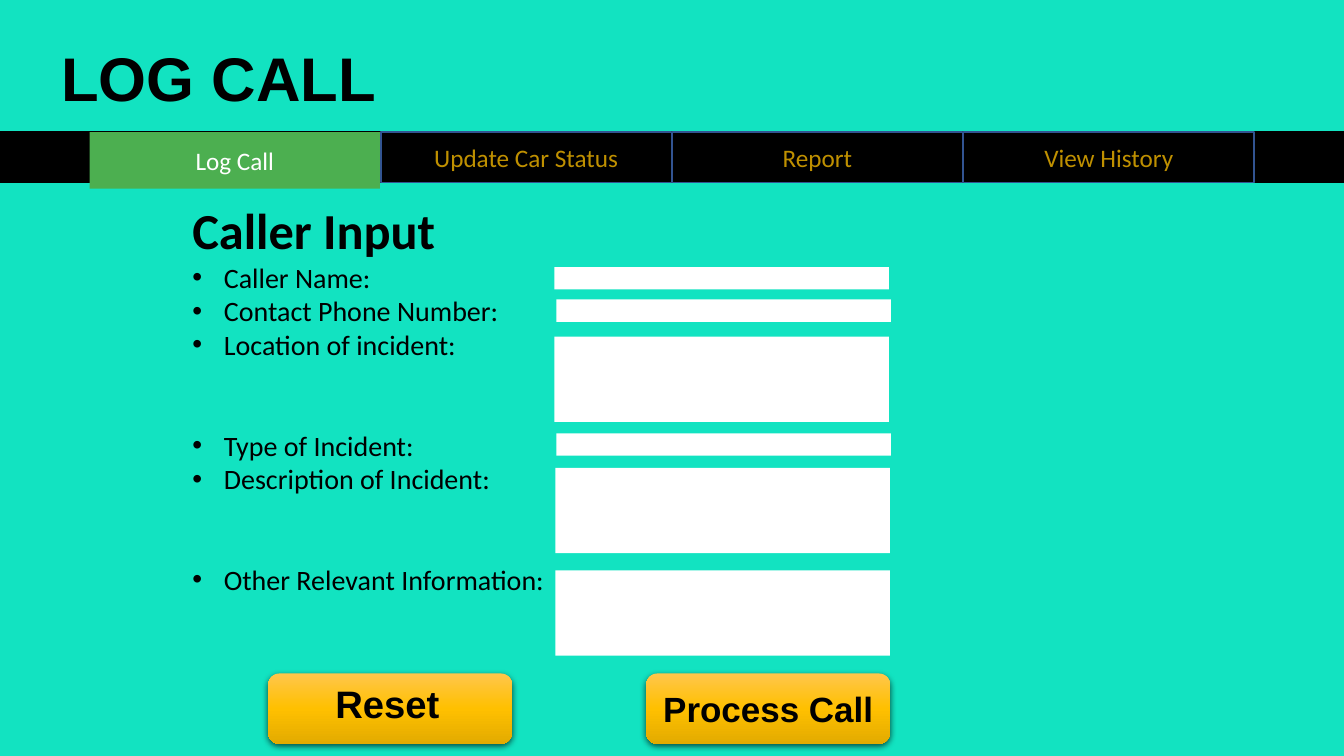
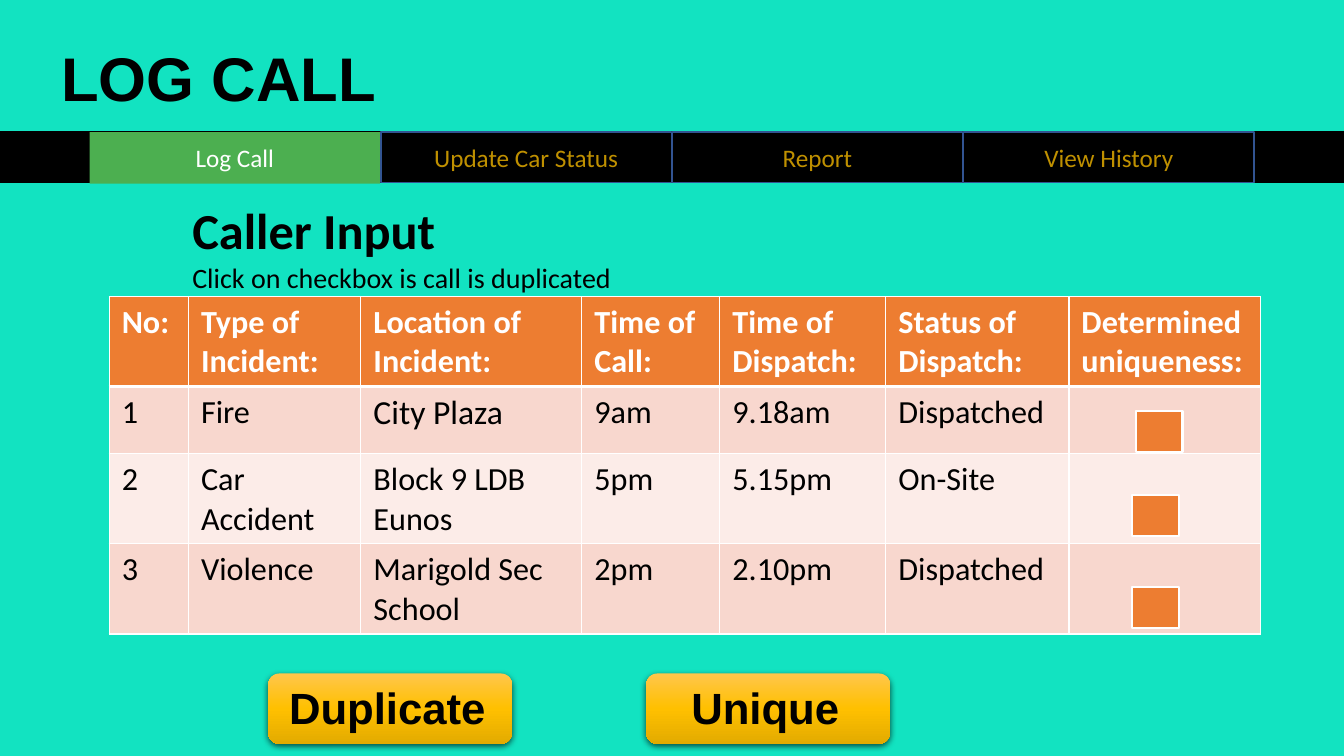
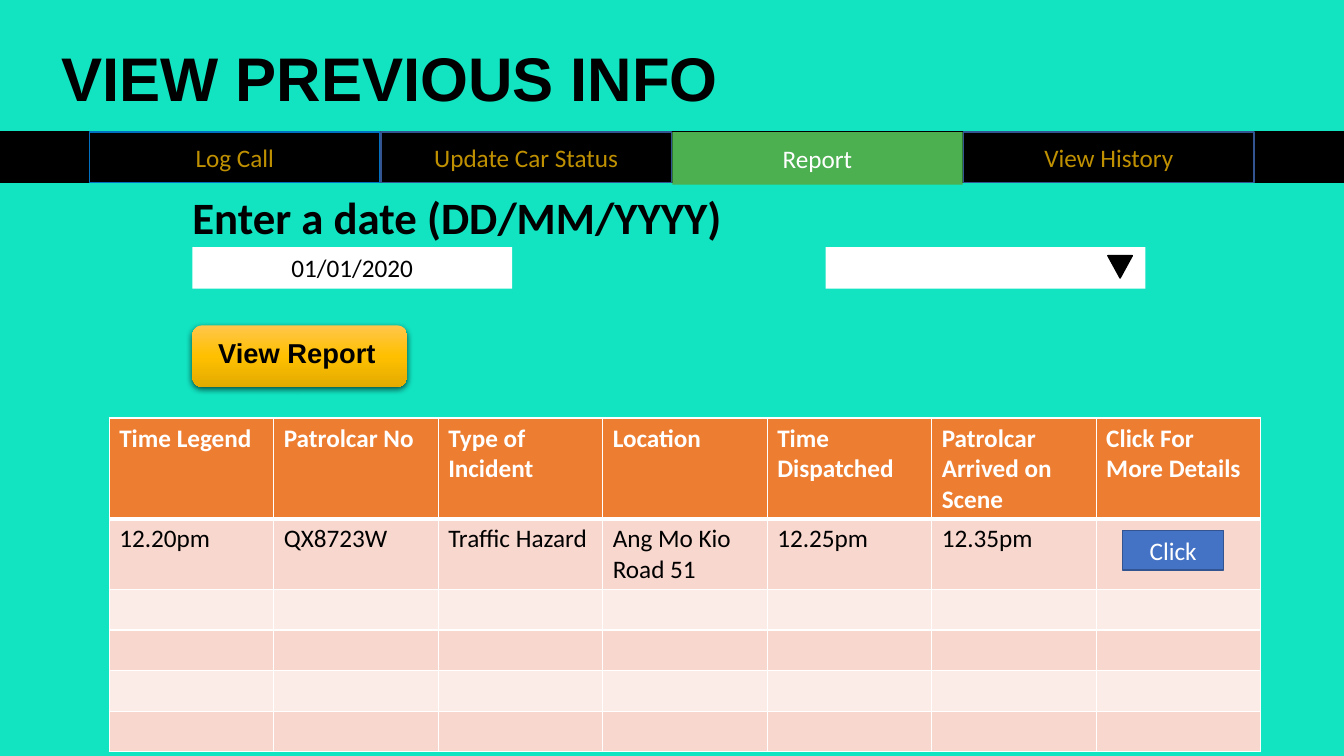
from lxml import etree
from pptx import Presentation
from pptx.dml.color import RGBColor
from pptx.enum import shapes, text
from pptx.oxml import parse_xml
from pptx.util import Pt

TEAL = RGBColor(0x12, 0xE3, 0xC1)
BLACK = RGBColor(0, 0, 0)
WHITE = RGBColor(0xFF, 0xFF, 0xFF)
GREEN = RGBColor(0x4C, 0xAF, 0x50)
GOLD = RGBColor(0xBF, 0x90, 0x00)
NAVY = RGBColor(0x32, 0x54, 0x91)
AZURE = RGBColor(0x00, 0x70, 0xC0)
BLUE = RGBColor(0x44, 0x72, 0xC4)
ORANGE = RGBColor(0xED, 0x7D, 0x31)
ROSE = RGBColor(0xF8, 0xD7, 0xCE)
BLUSH = RGBColor(0xFC, 0xEC, 0xE8)

A = "http://schemas.openxmlformats.org/drawingml/2006/main"
GLOSS = [(0, "FFC64B"), (50, "FFC000"), (100, "E3AB00")]
RECT = shapes.MSO_SHAPE.RECTANGLE
CENTER = text.PP_ALIGN.CENTER
MIDDLE, BOTTOM = text.MSO_ANCHOR.MIDDLE, text.MSO_ANCHOR.BOTTOM

TABS = ["Log Call", "Update Car Status", "Report", "View History"]
TAB_LEFT, TAB_TOP, TAB_STEP, TAB_WIDTH, BAND_HEIGHT = 64, 94.4, 208.1, 207.4, 36
HEADING = dict(size=Pt(36), bold=True)
BODY = dict(size=Pt(20))

QUESTIONS = [("Caller Name:", 0), ("Contact Phone Number:", 0),
             ("Location of incident:", 0), ("Type of Incident:", 48),
             ("Description of Incident:", 0), ("Other Relevant Information:", 48)]
FIELDS = [(396, 190.8, 16), (397.4, 213.9, 16), (396, 240.4, 61),
          (397.4, 309.6, 16), (396.7, 334.2, 61), (396.7, 407.4, 61)]

CALLS = [
    ["No:", "Type of Incident:", "Location of Incident:", "Time of\nCall:",
     "Time of\nDispatch:", "Status of Dispatch:", "Determined uniqueness:"],
    ["1", "Fire", "City Plaza", "9am", "9.18am", "Dispatched", ""],
    ["2", "Car Accident", "Block 9 LDB Eunos", "5pm", "5.15pm", "On-Site", ""],
    ["3", "Violence", "Marigold Sec School", "2pm", "2.10pm", "Dispatched", ""],
]
CALL_WIDTHS = [56.6, 123.2, 157.8, 98.6, 118.6, 130.8, 137]
CHECKBOXES = [(811.4, 293.6), (808.6, 353.6), (808.6, 419)]

REPORTS = [
    ["Time Legend", "Patrolcar No", "Type of Incident", "Location",
     "Time Dispatched", "Patrolcar Arrived on Scene", "Click For More Details"],
    ["12.20pm", "QX8723W", "Traffic Hazard", "Ang Mo Kio Road 51",
     "12.25pm", "12.35pm", ""],
] + [[""] * 7] * 4


def apply(target, values):
    for name, value in values.items():
        setattr(target, name, value)


def write(frame, paragraphs, frame_format=None, **common):
    apply(frame, dict(word_wrap=True, **(frame_format or {})))
    for i, (words, font, layout) in enumerate(paragraphs):
        para = frame.paragraphs[0] if i == 0 else frame.add_paragraph()
        apply(para, {**common, **layout})
        run = para.add_run()
        run.text = words
        values = dict(name="Calibri", bold=False, **{"color": BLACK}) | font
        run.font.color.rgb = values.pop("color")
        apply(run.font, values)


def add_box(slide, place, fill=None, edge=None, edge_width=1, kind=RECT):
    box = slide.shapes.add_shape(kind, *map(Pt, place))
    box.shadow.inherit = False
    if fill is None:
        box.fill.background()
    else:
        box.fill.solid()
        box.fill.fore_color.rgb = fill
    if edge is None:
        box.line.fill.background()
    else:
        box.line.color.rgb = edge
        box.line.width = Pt(edge_width)
    return box


def add_caption(slide, place, paragraphs, frame_format=None, **common):
    caption = slide.shapes.add_textbox(*map(Pt, place))
    write(caption.text_frame, paragraphs, frame_format, **common)
    return caption


def label(box, words, size=18, **font):
    write(box.text_frame, [(words, dict(size=Pt(size), **font), {})],
          dict(vertical_anchor=MIDDLE), alignment=CENTER)


def add_button(slide, place, words, size, lift=None):
    button = add_box(slide, place, kind=shapes.MSO_SHAPE.ROUNDED_RECTANGLE)
    properties = button._element.spPr
    stops = "".join(f'<a:gs pos="{at * 1000}"><a:srgbClr val="{shade}"/></a:gs>'
                    for at, shade in GLOSS)
    gloss = parse_xml(f'<a:gradFill xmlns:a="{A}"><a:gsLst>{stops}</a:gsLst>'
                      '<a:lin ang="5400000" scaled="0"/></a:gradFill>')
    properties.replace(properties.find(f"{{{A}}}noFill"), gloss)
    shadow = etree.SubElement(properties.find(f"{{{A}}}effectLst"), f"{{{A}}}outerShdw",
                              blurRad="57150", dist="19050", dir="5400000",
                              algn="ctr", rotWithShape="0")
    shade = etree.SubElement(shadow, f"{{{A}}}srgbClr", val="000000")
    etree.SubElement(shade, f"{{{A}}}alpha", val="63000")
    font = dict(name="Arial", bold=True)
    if lift is None:
        label(button, words, size, **font)
    else:
        left, top, width, height = place
        add_caption(slide, (left + 4.5, top - lift, width - 13, height),
                    [(words, dict(size=Pt(size), **font), {})],
                    dict(vertical_anchor=BOTTOM), alignment=CENTER, line_spacing=0.9)


def add_grid(slide, left, top, rows, widths, heights, size, margins, special=None):
    grid = slide.shapes.add_table(len(rows), len(widths), Pt(left), Pt(top),
                                  Pt(sum(widths)), Pt(sum(heights))).table
    grid.horz_banding = False
    for column, width in zip(grid.columns, widths):
        column.width = Pt(width)
    for r, (row, height) in enumerate(zip(rows, heights)):
        grid.rows[r].height = Pt(height)
        for c, words in enumerate(row):
            cell = grid.cell(r, c)
            apply(cell, margins)
            sides = cell._tc.get_or_add_tcPr()
            for side in "LRTB":
                thick = 3 if (r, side) in ((0, "B"), (1, "T")) else 1
                sides.append(parse_xml(
                    f'<a:ln{side} xmlns:a="{A}" w="{thick * 12700}"><a:solidFill>'
                    f'<a:srgbClr val="{WHITE}"/></a:solidFill></a:ln{side}>'))
            cell.fill.solid()
            cell.fill.fore_color.rgb = ORANGE if r == 0 else ROSE if r % 2 else BLUSH
            if words:
                font = dict(size=Pt((special or {}).get(words, size)), bold=r == 0,
                            color=WHITE if r == 0 else BLACK)
                write(cell.text_frame, [(line, font, {}) for line in words.split("\n")])


def start_slide(title, title_width, active, active_height, first_edge=NAVY):
    slide = deck.slides.add_slide(deck.slide_layouts[6])
    slide.background.fill.solid()
    slide.background.fill.fore_color.rgb = TEAL
    add_box(slide, (0, TAB_TOP, 960, BAND_HEIGHT), BLACK, BLACK)
    add_caption(slide, (36.7, 21.6, title_width, 64),
                [(title, dict(name="Arial", size=Pt(44), bold=True), {})],
                dict(vertical_anchor=BOTTOM), line_spacing=0.9)
    for i, name in enumerate(TABS):
        chosen = name == active
        edge = None if chosen else first_edge if i == 0 else NAVY
        tab = add_box(slide, (TAB_LEFT + i * TAB_STEP, TAB_TOP, TAB_WIDTH,
                              active_height if chosen else BAND_HEIGHT),
                      GREEN if chosen else None, edge)
        label(tab, name, color=WHITE if chosen else GOLD)
    return slide


deck = Presentation()
deck.slide_width, deck.slide_height = Pt(960), Pt(540)
LEFT_BUTTON, RIGHT_BUTTON = [(x, 481, 174.4, 50.4) for x in (191.5, 461.5)]

call_form = start_slide("LOG CALL", 329, "Log Call", 40.3)
questions = add_caption(
    call_form, (130.3, 139, 399, 293),
    [("Caller Input", HEADING, {})]
    + [(words, BODY, dict(space_before=Pt(gap))) for words, gap in QUESTIONS])
for para in questions.text_frame.paragraphs[1:]:
    bullet = para._p.get_or_add_pPr()
    bullet.set("marL", str(Pt(22.5)))
    bullet.set("indent", str(-Pt(22.5)))
    etree.SubElement(bullet, f"{{{A}}}buFont", typeface="Arial")
    etree.SubElement(bullet, f"{{{A}}}buChar", char="•")
for left, top, height in FIELDS:
    add_box(call_form, (left, top, 239, height), WHITE)
add_button(call_form, RIGHT_BUTTON, "Process Call", 25)
add_button(call_form, LEFT_BUTTON, "Reset", 27.3, lift=8.6)

duplicates = start_slide("LOG CALL", 329, "Log Call", 36.7)
add_caption(duplicates, (130.3, 139, 399, 75),
            [("Caller Input", HEADING, {}),
             ("Click on checkbox is call is duplicated", BODY, {})])
add_button(duplicates, RIGHT_BUTTON, "Unique", 31.2, lift=3.6)
add_button(duplicates, LEFT_BUTTON, "Duplicate", 31.2, lift=3.6)
add_grid(duplicates, 78, 211.7, CALLS, CALL_WIDTHS, [64.4, 48, 64.4, 64.4], 23,
         dict(margin_left=Pt(9), margin_right=Pt(9),
              margin_top=Pt(4.5), margin_bottom=Pt(4.5)), {"City Plaza": 24})
for left, top in CHECKBOXES:
    add_box(duplicates, (left, top, 33.3, 29.5), ORANGE, WHITE, 1.5)

report = start_slide("VIEW PREVIOUS INFO", 698, "Report", 37.6, AZURE)
add_caption(report, (130.3, 131.8, 459, 46),
            [("Enter a date (DD/MM/YYYY)", dict(size=Pt(32), bold=True), {})])
date_field, dropdown = [add_box(report, (x, 176.6, 228.4, 29.5), WHITE)
                        for x in (137.4, 589.7)]
label(date_field, "01/01/2020")
arrow = add_box(report, (791.3, 182.6, 17.5, 16), BLACK, BLACK,
                kind=shapes.MSO_SHAPE.ISOSCELES_TRIANGLE)
arrow.rotation = 180
add_button(report, (137.4, 232.4, 153.4, 44), "View Report", 19.5, lift=9.2)
add_grid(report, 78, 298.6, REPORTS, [117.5] * 7, [72, 50] + [29] * 4, 18,
         dict(margin_left=Pt(7.2), margin_right=Pt(7.2),
              margin_top=Pt(3.6), margin_bottom=Pt(3.6)))
label(add_box(report, (802, 378.8, 72, 28.4), BLUE, NAVY), "Click", color=WHITE)

deck.save("out.pptx")
